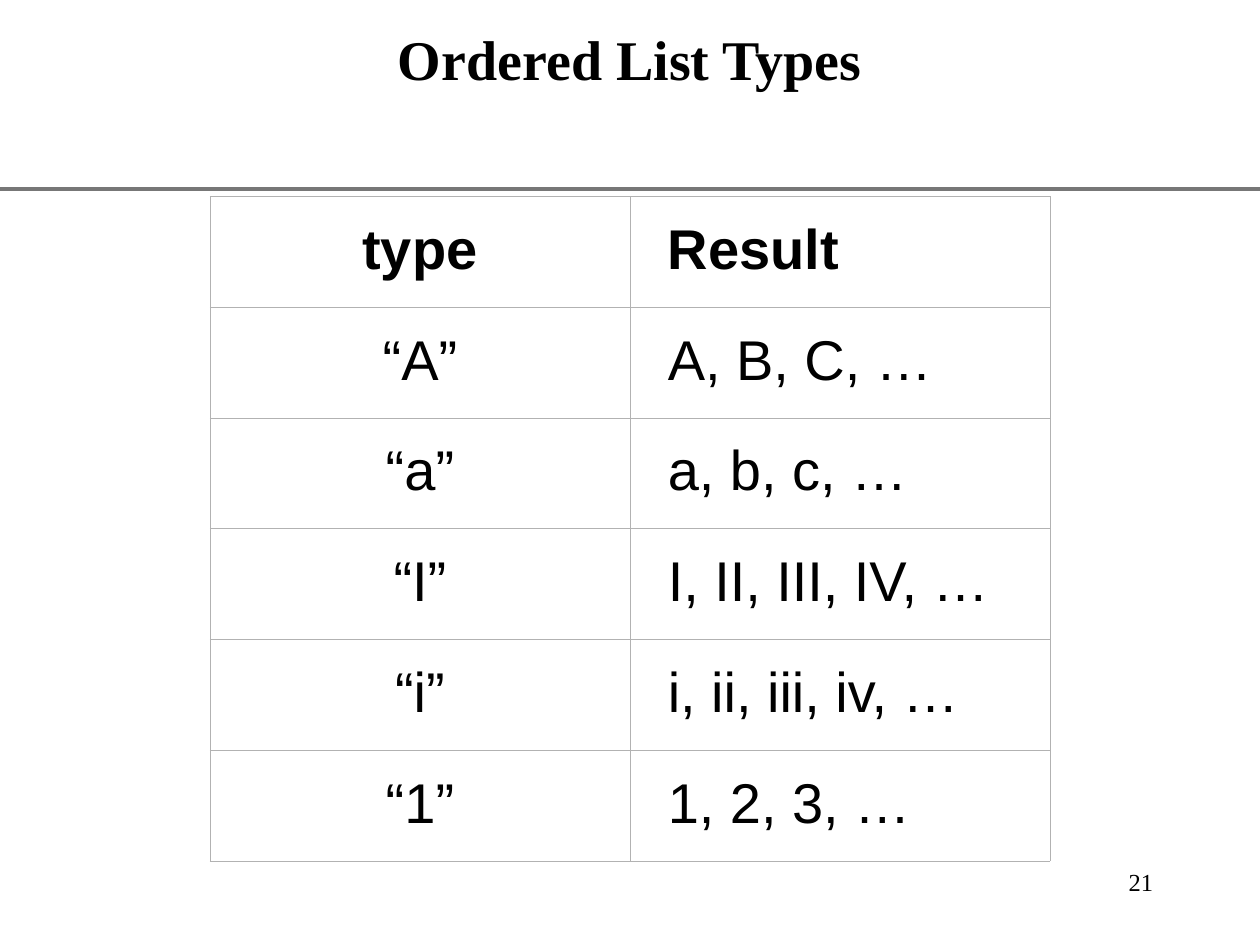
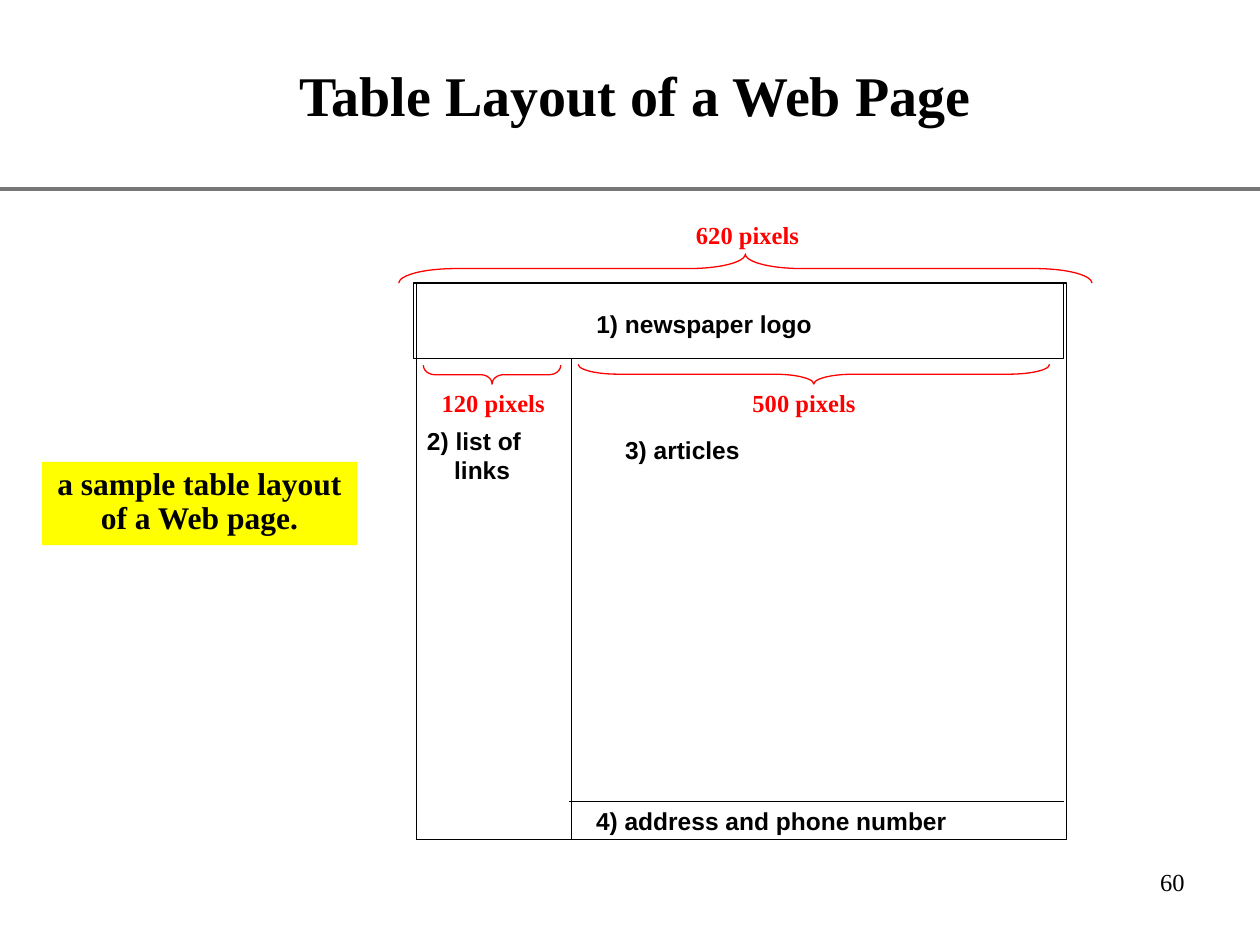
from dataclasses import dataclass

from lxml.etree import SubElement
from pptx import Presentation
from pptx.dml.color import RGBColor
from pptx.enum.shapes import MSO_CONNECTOR, MSO_SHAPE
from pptx.enum.text import MSO_ANCHOR, MSO_AUTO_SIZE, PP_ALIGN
from pptx.oxml.ns import qn
from pptx.slide import Slide
from pptx.table import _Cell
from pptx.text.text import TextFrame, _Paragraph
from pptx.util import Pt

BLACK = RGBColor(0x00, 0x00, 0x00)
WHITE = RGBColor(0xFF, 0xFF, 0xFF)
RED = RGBColor(0xFF, 0x00, 0x00)
YELLOW = RGBColor(0xFF, 0xFF, 0x00)
RULE_GRAY = RGBColor(0x77, 0x77, 0x77)
GRID_GRAY = RGBColor(0xB2, 0xB2, 0xB2)

SERIF = "Times New Roman"
SANS = "Arial"
SLIDE_WIDTH = 720
SLIDE_HEIGHT = 540
RULE_Y = 108
THIN = 0.75
PADDING = (7.2, 3.6)
NO_PADDING = (0, 0)


@dataclass(frozen=True)
class Box:
    left: float
    top: float
    width: float
    height: float

    def lengths(self) -> tuple[Pt, Pt, Pt, Pt]:
        return Pt(self.left), Pt(self.top), Pt(self.width), Pt(self.height)


@dataclass(frozen=True)
class TextStyle:
    size: float
    font: str
    bold: bool = True
    color: RGBColor = BLACK
    align: PP_ALIGN = PP_ALIGN.LEFT
    line_spacing: float = 1.0


@dataclass(frozen=True)
class Label:
    lines: tuple[str, ...]
    box: Box
    style: TextStyle
    hanging: float = 0


@dataclass(frozen=True)
class Brace:
    center_x: float
    center_y: float
    span: float
    depth: float
    curl: float
    rotation: int


TITLE = TextStyle(32, SERIF, align=PP_ALIGN.CENTER)
PAGE_NUMBER = TextStyle(14, SERIF, bold=False, align=PP_ALIGN.RIGHT)
CAPTION = TextStyle(18, SERIF, align=PP_ALIGN.CENTER, line_spacing=0.9)
REGION = TextStyle(14, SANS)
MEASURE = TextStyle(14, SERIF, color=RED)

LIST_TYPES = (
    ("type", "Result"),
    ("“A”", "A, B, C, …"),
    ("“a”", "a, b, c, …"),
    ("“I”", "I, II, III, IV, …"),
    ("“i”", "i, ii, iii, iv, …"),
    ("“1”", "1, 2, 3, …"),
)
LIST_TABLE = Box(120, 112.2, 480, 379.8)

PAGE_REGIONS = (
    Box(238, 205, 88.5, 274.8),
    Box(238, 161.8, 371.5, 318),
    Box(236.3, 161.8, 371.5, 43.2),
)
ADDRESS_LINE = (325.2, 608, 458)
LABELS = (
    Label(("4) address and phone number",), Box(340.6, 460.8, 202, 16.8), REGION),
    Label(("1) newspaper logo",), Box(340.8, 176.6, 125, 16.8), REGION),
    Label(("2) list of", "links"), Box(244, 243.4, 57.6, 33.8), REGION, 15.56),
    Label(("3) articles",), Box(357.2, 248.7, 67, 16.8), REGION),
    Label(("620 pixels",), Box(397.7, 125.6, 60, 16.8), MEASURE),
    Label(("500 pixels",), Box(430, 221.6, 60, 16.8), MEASURE),
    Label(("120 pixels",), Box(252.4, 221.6, 60, 16.8), MEASURE),
)
BRACES = (
    Brace(425.9, 153.5, 396, 16.6, 1.95, 90),
    Brace(465.1, 213.8, 269.3, 11.2, 2.05, 270),
    Brace(281.2, 214.1, 78.5, 10.8, 0.6, 270),
)


def write(paragraph: _Paragraph, text: str, style: TextStyle) -> None:
    paragraph.alignment = style.align
    paragraph.line_spacing = style.line_spacing
    run = paragraph.add_run()
    run.text = text
    run.font.size = Pt(style.size)
    run.font.name = style.font
    run.font.bold = style.bold
    run.font.color.rgb = style.color


def prepare(frame: TextFrame, padding: tuple[float, float], wrap: bool,
            anchor: MSO_ANCHOR) -> None:
    frame.margin_left = frame.margin_right = Pt(padding[0])
    frame.margin_top = frame.margin_bottom = Pt(padding[1])
    frame.word_wrap = wrap
    frame.vertical_anchor = anchor


def add_text(slide: Slide, text: str, box: Box, style: TextStyle,
             anchor: MSO_ANCHOR = MSO_ANCHOR.TOP) -> None:
    frame = slide.shapes.add_textbox(*box.lengths()).text_frame
    prepare(frame, PADDING, True, anchor)
    write(frame.paragraphs[0], text, style)


def add_label(slide: Slide, label: Label) -> None:
    frame = slide.shapes.add_textbox(*label.box.lengths()).text_frame
    prepare(frame, NO_PADDING, False, MSO_ANCHOR.TOP)
    frame.auto_size = MSO_AUTO_SIZE.SHAPE_TO_FIT_TEXT
    for index, line in enumerate(label.lines):
        paragraph = frame.add_paragraph() if index else frame.paragraphs[0]
        if index:
            paragraph._p.get_or_add_pPr().set("marL", str(Pt(label.hanging)))
        write(paragraph, line, label.style)


def add_rule(slide: Slide, start: float, end: float, y: float,
             color: RGBColor, weight: float) -> None:
    rule = slide.shapes.add_connector(
        MSO_CONNECTOR.STRAIGHT, Pt(start), Pt(y), Pt(end), Pt(y))
    rule.line.color.rgb = color
    rule.line.width = Pt(weight)
    SubElement(rule._element.spPr, qn("a:effectLst"))


def add_region(slide: Slide, box: Box) -> None:
    region = slide.shapes.add_shape(MSO_SHAPE.RECTANGLE, *box.lengths())
    region.shadow.inherit = False
    region.fill.background()
    region.line.color.rgb = BLACK
    region.line.width = Pt(THIN)


def add_brace(slide: Slide, brace: Brace) -> None:
    box = Box(brace.center_x - brace.depth / 2, brace.center_y - brace.span / 2,
              brace.depth, brace.span)
    outline = slide.shapes.add_shape(MSO_SHAPE.LEFT_BRACE, *box.lengths())
    outline.adjustments[0] = brace.curl
    outline.rotation = brace.rotation
    outline.shadow.inherit = False
    outline.fill.background()
    outline.line.color.rgb = RED
    outline.line.width = Pt(THIN)


def add_caption(slide: Slide, text: str, box: Box) -> None:
    caption = slide.shapes.add_shape(MSO_SHAPE.RECTANGLE, *box.lengths())
    caption.shadow.inherit = False
    caption.fill.solid()
    caption.fill.fore_color.rgb = YELLOW
    caption.line.fill.background()
    prepare(caption.text_frame, PADDING, True, MSO_ANCHOR.TOP)
    write(caption.text_frame.paragraphs[0], text, CAPTION)


def add_borders(cell: _Cell) -> None:
    properties = cell._tc.get_or_add_tcPr()
    for side in ("a:lnL", "a:lnR", "a:lnT", "a:lnB"):
        border = SubElement(properties, qn(side), w=str(Pt(0.23)))
        fill = SubElement(border, qn("a:solidFill"))
        SubElement(fill, qn("a:srgbClr"), val=str(GRID_GRAY))


def add_list_table(slide: Slide) -> None:
    row_count, column_count = len(LIST_TYPES), len(LIST_TYPES[0])
    table = slide.shapes.add_table(
        row_count, column_count, *LIST_TABLE.lengths()).table
    table.first_row = table.horz_banding = False
    for column in table.columns:
        column.width = Pt(LIST_TABLE.width / column_count)
    for row_index, entries in enumerate(LIST_TYPES):
        table.rows[row_index].height = Pt(LIST_TABLE.height / row_count)
        for column_index, entry in enumerate(entries):
            cell = table.cell(row_index, column_index)
            cell.margin_left = cell.margin_right = Pt(21.6)
            cell.margin_top = cell.margin_bottom = Pt(3.6)
            cell.vertical_anchor = MSO_ANCHOR.MIDDLE
            add_borders(cell)
            if row_index == 0:
                cell.fill.solid()
                cell.fill.fore_color.rgb = WHITE
            else:
                cell.fill.background()
            align = PP_ALIGN.LEFT if column_index else PP_ALIGN.CENTER
            style = TextStyle(32, SANS, row_index == 0, align=align, line_spacing=0.93)
            write(cell.text_frame.paragraphs[0], entry, style)


def start_slide(deck: Presentation, title: str, title_box: Box,
                number: int, number_left: float) -> Slide:
    slide = deck.slides.add_slide(deck.slide_layouts[6])
    slide.background.fill.solid()
    slide.background.fill.fore_color.rgb = WHITE
    add_rule(slide, 0, SLIDE_WIDTH, RULE_Y, RULE_GRAY, 2)
    add_text(slide, str(number), Box(number_left, 492, 150, 36), PAGE_NUMBER)
    add_text(slide, title, title_box, TITLE, MSO_ANCHOR.MIDDLE)
    return slide


def main() -> None:
    deck = Presentation()
    deck.slide_width = Pt(SLIDE_WIDTH)
    deck.slide_height = Pt(SLIDE_HEIGHT)

    list_types = start_slide(
        deck, "Ordered List Types", Box(54, -12, 612, 90), 21, 516)
    add_list_table(list_types)

    page_layout = start_slide(
        deck, "Table Layout of a Web Page", Box(90, 12, 546, 84), 60, 534)
    add_caption(page_layout, "a sample table layout of a Web page.",
                Box(24, 264, 180, 47.5))
    for region in PAGE_REGIONS:
        add_region(page_layout, region)
    add_rule(page_layout, *ADDRESS_LINE, BLACK, THIN)
    for label in LABELS:
        add_label(page_layout, label)
    for brace in BRACES:
        add_brace(page_layout, brace)

    deck.save("out.pptx")


if __name__ == "__main__":
    main()
